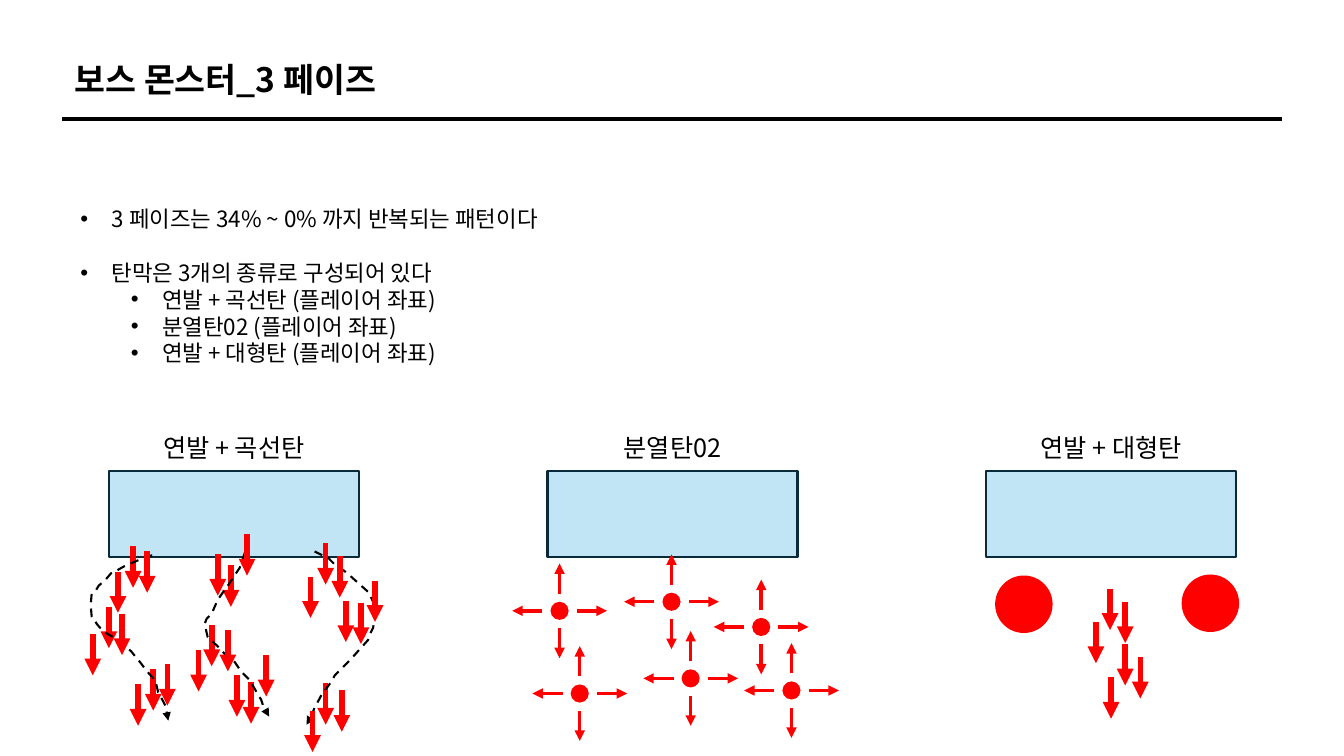
"""Build the slide on the third phase of the boss monster."""
import pptx
import pptx.util
import pptx.dml.color
import pptx.enum.dml
import pptx.enum.shapes
import pptx.enum.text
import pptx.oxml
import pptx.oxml.ns

TITLE = "보스 몬스터_3 페이즈"
BULLETS = [
    (0, "3 페이즈는 34% ~ 0% 까지 반복되는 패턴이다"),
    (0, "탄막은 3개의 종류로 구성되어 있다"),
    (1, "연발 + 곡선탄 (플레이어 좌표)"),
    (1, "분열탄02 (플레이어 좌표)"),
    (1, "연발 + 대형탄 (플레이어 좌표)"),
]
PATTERNS = ["연발 + 곡선탄", "분열탄02", "연발 + 대형탄"]

# All positions below are (x, y) on a grid of 100 steps per inch.
CURVE_VOLLEYS = [
    ((337, 552), (323, 539)), ((372, 576), (358, 598)), ((339, 685), (323, 678)),
    ((264, 650), (249, 677)), ((226, 625), (210, 620)), ((245, 530), (229, 561)),
    ((146, 547), (132, 542)), ((121, 609), (108, 602)), ((166, 659), (152, 664)),
]
LARGE_VOLLEYS = [((1116, 597), (1101, 584)), ((1131, 652), (1116, 639))]
CURVES = [
    [(151, 551), (146, 552), (123, 562), (116, 566), (110, 569), (104, 576),
     (98, 581), (95, 586), (91, 589), (90, 600), (91, 612), (94, 615), (96, 619),
     (102, 626), (112, 632), (116, 636), (121, 639), (130, 646), (134, 651),
     (139, 657), (145, 665), (152, 673), (155, 679), (157, 687), (162, 696),
     (164, 700), (167, 715)],
    [(243, 548), (238, 563), (226, 581), (221, 588), (216, 595), (210, 609),
     (205, 614), (203, 619), (206, 632), (219, 644), (223, 649), (233, 657),
     (239, 666), (247, 674), (253, 684), (255, 688), (259, 694), (261, 700),
     (263, 704), (267, 711)],
    [(312, 547), (326, 554), (334, 562), (341, 566), (347, 571), (366, 588),
     (370, 597), (372, 600), (372, 612), (370, 623), (367, 629), (365, 635),
     (356, 645), (348, 654), (343, 659), (337, 665), (332, 670), (330, 674),
     (326, 680), (322, 685), (319, 689), (317, 693), (312, 702), (309, 710),
     (306, 716), (304, 719)],
]
SPLITS = [(666, 597), (755, 622), (785, 685), (685, 673), (555, 606), (575, 688)]
LARGE_SHOTS = [(987, 571), (1172, 570)]

COLORS = {"ink": "000000", "boss": "C1E5F5", "edge": "092A39", "shot": "FF0000"}
FONT = "Noto Sans CJK KR"
STEP = 9144
PANEL_LEFT, PANEL_PITCH, PANEL_WIDTH = 108, 435, 248
SHOT_LENGTH, TRAIL = 41, (-29, 20)
SPLIT_INNER, SPLIT_OUTER, CORE = 17, 47, 18

deck = pptx.Presentation()
deck.slide_width, deck.slide_height = 1333 * STEP, 750 * STEP
slide = deck.slides.add_slide(deck.slide_layouts[5])
shapes = slide.shapes


def color(name):
    return pptx.dml.color.RGBColor.from_string(COLORS[name])


def add_xml(parent, tag, **attributes):
    element = pptx.oxml.parse_xml(f"<a:{tag} {pptx.oxml.ns.nsdecls('a')}/>")
    for key, value in attributes.items():
        element.set(key, str(value))
    parent.append(element)


def style_text(paragraph, size, bold=False):
    for run in paragraph.runs:
        run.font.size, run.font.bold = pptx.util.Pt(size), bold
        run.font.color.rgb = color("ink")
        run.font.name = FONT
        add_xml(run.font._element, "ea", typeface=FONT)


def fit_frame(shape):
    frame = shape.text_frame
    frame.word_wrap = True
    frame.vertical_anchor = pptx.enum.text.MSO_ANCHOR.TOP
    frame.auto_size = pptx.enum.text.MSO_AUTO_SIZE.SHAPE_TO_FIT_TEXT
    return frame


def add_textbox(*place):
    return fit_frame(shapes.add_textbox(*(n * STEP for n in place)))


def style_line(line, name, width, arrow=True, dashed=False):
    line.color.rgb, line.width = color(name), pptx.util.Pt(width)
    if dashed:
        line.dash_style = pptx.enum.dml.MSO_LINE.DASH
    if arrow:
        add_xml(line._get_or_add_ln(), "tailEnd", type="triangle")


def add_line(start, end, name, width, arrow=True):
    connector = shapes.add_connector(
        pptx.enum.shapes.MSO_CONNECTOR.STRAIGHT, *(n * STEP for n in (*start, *end)))
    style_line(connector.line, name, width, arrow)
    add_xml(connector._element.spPr, "effectLst")


def add_solid(kind, fill, *place):
    solid = shapes.add_shape(kind, *(n * STEP for n in place))
    solid.shadow.inherit = False
    solid.fill.solid()
    solid.fill.fore_color.rgb = color(fill)
    solid.line.fill.background()
    return solid


def add_shot(x, y):
    add_line((x, y), (x, y + SHOT_LENGTH), "shot", 4)


def add_pair(x, y):
    add_shot(x, y)
    add_shot(x + TRAIL[0], y + TRAIL[1])


def add_curve(points):
    builder = shapes.build_freeform(*points[0], scale=STEP)
    builder.add_line_segments(points[1:], close=False)
    curve = builder.convert_to_shape()
    curve.shadow.inherit = False
    curve.fill.background()
    style_line(curve.line, "ink", 1.5, dashed=True)


def add_split(x, y):
    for dx, dy in [(-1, 0), (1, 0), (0, 1), (0, -1)]:
        start, end = ((x + dx * reach, y + dy * reach)
                      for reach in (SPLIT_INNER, SPLIT_OUTER))
        add_line(start, end, "shot", 2.5)
    add_solid(pptx.enum.shapes.MSO_SHAPE.OVAL, "shot",
              x - CORE // 2, y - CORE // 2, CORE, CORE)


title = shapes.title
title.left, title.top, title.width, title.height = (n * STEP for n in (64, 53, 631, 50))
heading = fit_frame(title)
heading.text = TITLE
heading.paragraphs[0].alignment = pptx.enum.text.PP_ALIGN.LEFT
style_text(heading.paragraphs[0], 24, bold=True)
add_line((62, 118), (1272, 118), "ink", 2.75, arrow=False)

for column, pattern in enumerate(PATTERNS):
    left = PANEL_LEFT + column * PANEL_PITCH
    boss = add_solid(pptx.enum.shapes.MSO_SHAPE.RECTANGLE, "boss", left, 467, PANEL_WIDTH, 86)
    style_line(boss.line, "edge", 1.5, arrow=False)
    caption = add_textbox(left, 424, PANEL_WIDTH, 40).paragraphs[0]
    caption.text = pattern
    caption.alignment = pptx.enum.text.PP_ALIGN.CENTER
    style_text(caption, 18)

summary = add_textbox(70, 172, 1193, 298)
summary.text = "\n".join(text for _, text in BULLETS)
for paragraph, (level, _) in zip(summary.paragraphs, BULLETS):
    properties = paragraph._p.get_or_add_pPr()
    properties.set("marL", str((31 + 50 * level) * STEP))
    properties.set("indent", str(-31 * STEP))
    add_xml(properties, "buFont", typeface="Arial")
    add_xml(properties, "buChar", char="•")
    paragraph.level = level
    paragraph.line_spacing = 1.0 if level else 2.0
    style_text(paragraph, 16)

for _, middle in CURVE_VOLLEYS:
    add_shot(*middle)
for points in CURVES:
    add_curve(points)
for lead, _ in CURVE_VOLLEYS:
    add_pair(*lead)
for center in SPLITS:
    add_split(*center)
for corner in LARGE_SHOTS:
    add_solid(pptx.enum.shapes.MSO_SHAPE.OVAL, "shot", *corner, 57, 57)
for lead, middle in LARGE_VOLLEYS:
    add_shot(*middle)
    add_pair(*lead)

deck.save("out.pptx")
